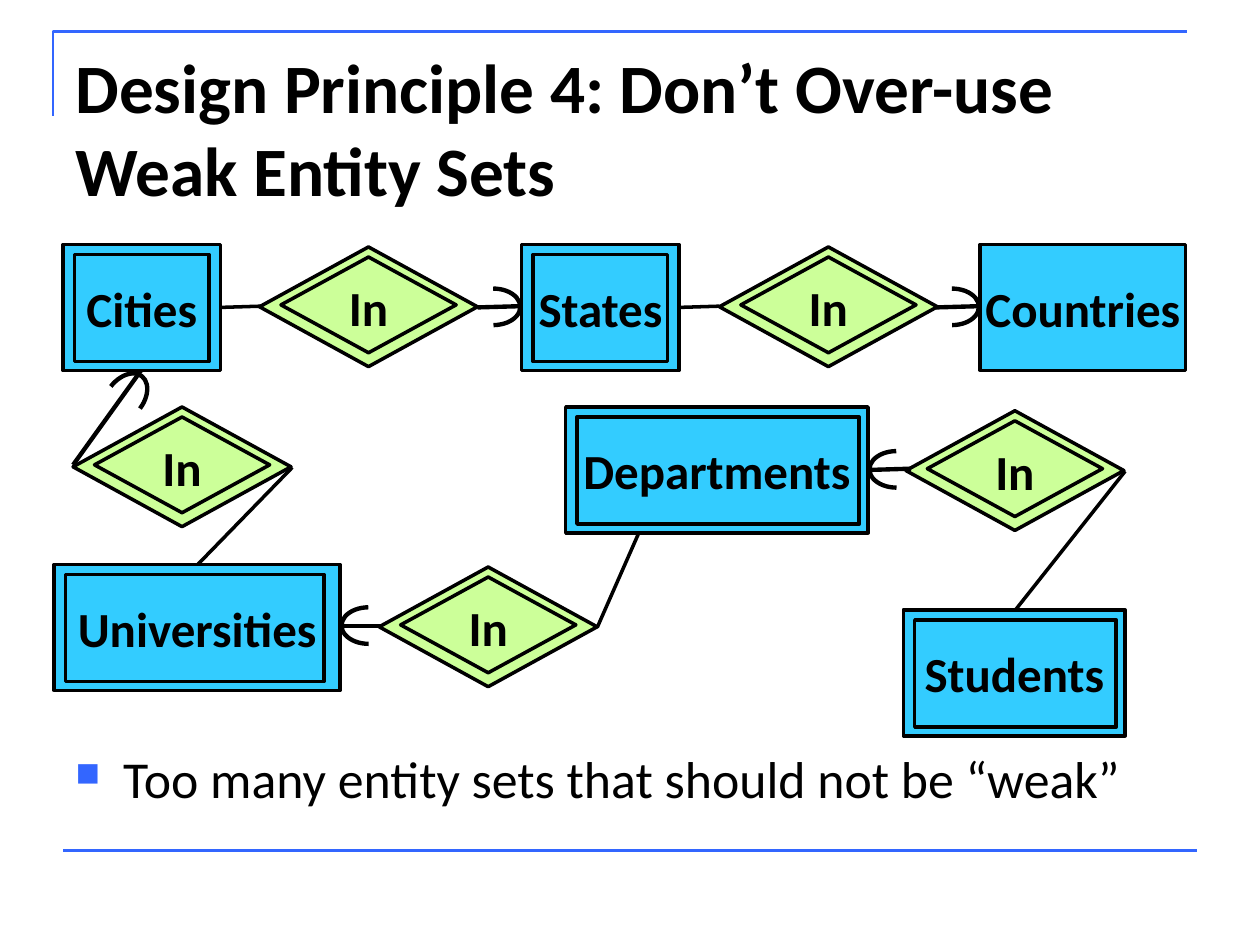
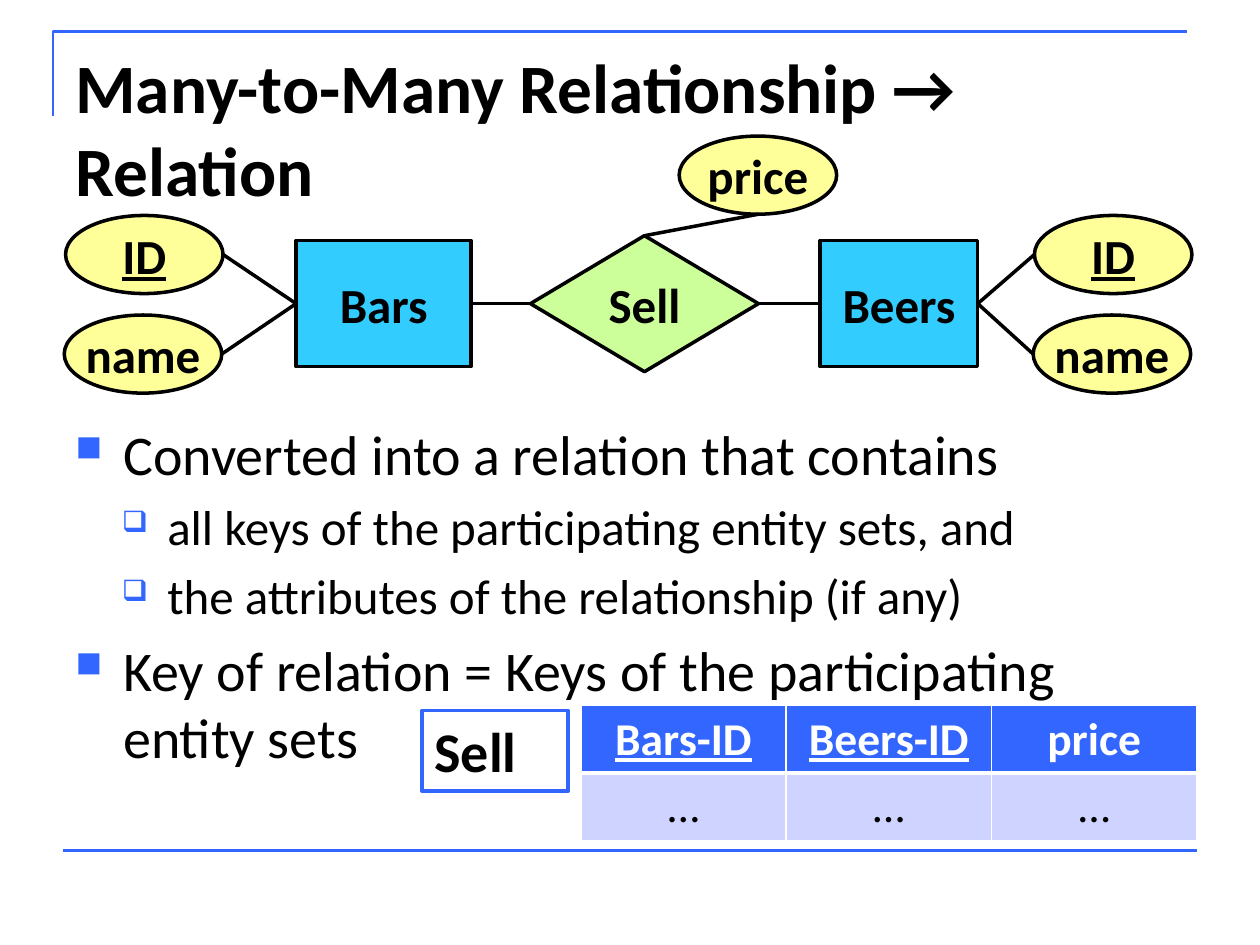
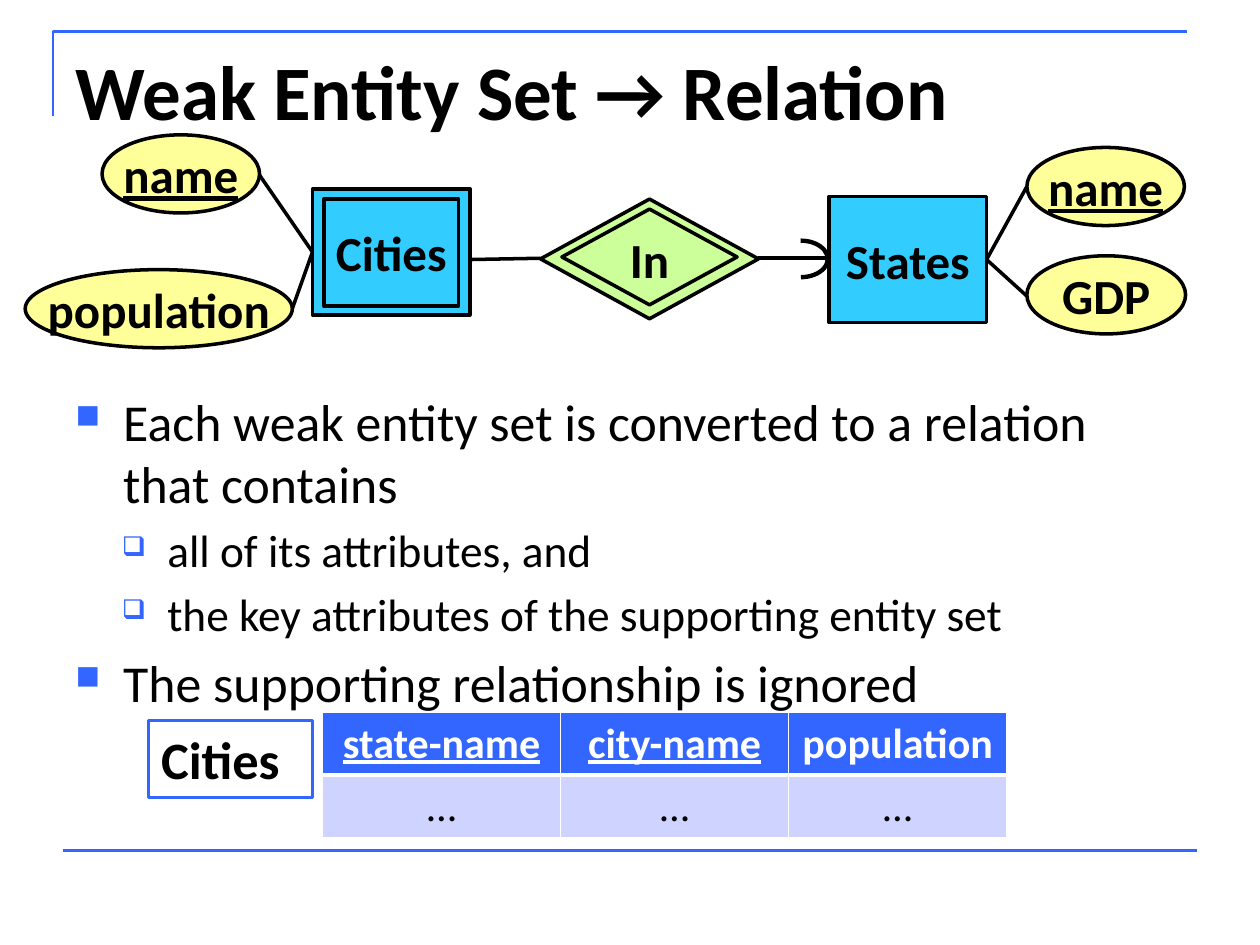
import lxml.etree
import pptx
import pptx.dml.color
import pptx.enum.shapes
import pptx.enum.text
import pptx.oxml.ns
import pptx.util

Inches = pptx.util.Inches
Pt = pptx.util.Pt
SHAPE = pptx.enum.shapes.MSO_SHAPE
ANCHOR = pptx.enum.text.MSO_ANCHOR
ALIGN = pptx.enum.text.PP_ALIGN

COLORS = {
    "accent": "3366FF",
    "ink": "000000",
    "paper": "FFFFFF",
    "entity": "33CCFF",
    "relationship": "CCFF99",
    "attribute": "FFFF99",
    "row": "CED3FF",
}


def color(name):
    return pptx.dml.color.RGBColor.from_string(COLORS[name])


def add_xml(parent, tag, **attributes):
    return lxml.etree.SubElement(parent, pptx.oxml.ns.qn(tag), attributes)


def write(para, text, size=28, bold=True, underline=False, ink="ink", align=ALIGN.LEFT):
    para.alignment = align
    span = para.add_run()
    span.text = text
    span.font.name = "Calibri"
    span.font.size = Pt(size)
    span.font.bold = bold
    span.font.underline = underline
    span.font.color.rgb = color(ink)


class Deck:
    bullets = [("■", "65000", 0.38, 0.38), ("❑", "60000", 0.73, 0.36)]

    def __init__(self):
        self.deck = pptx.Presentation()
        self.deck.slide_width = Inches(10)
        self.deck.slide_height = Inches(7.5)
        self.page = None

    def add_page(self, title, size=39.6):
        self.page = self.deck.slides.add_slide(self.deck.slide_layouts[6])
        builder = self.page.shapes.build_freeform(Inches(0.42), Inches(0.92))
        builder.add_line_segments(
            [(Inches(0.42), Inches(0.25)), (Inches(9.42), Inches(0.25))], close=False
        )
        self.style(builder.convert_to_shape(), None, "accent", 1.5)
        self.line((0.5, 6.75), (9.5, 6.75), 1.5, "accent")
        write(self.text_frame(0.5, 0.3, 9, 1.25).paragraphs[0], title, size=size)

    def text_frame(self, left, top, width, height):
        box = self.page.shapes.add_textbox(
            Inches(left), Inches(top), Inches(width), Inches(height)
        )
        box.text_frame.word_wrap = True
        return box.text_frame

    def style(self, shape, fill, line="ink", weight=2):
        shape.shadow.inherit = False
        if fill:
            shape.fill.solid()
            shape.fill.fore_color.rgb = color(fill)
        else:
            shape.fill.background()
        shape.line.color.rgb = color(line)
        shape.line.width = Pt(weight)

    def shape(self, kind, left, top, width, height, fill=None, line="ink", weight=2):
        shape = self.page.shapes.add_shape(
            kind, Inches(left), Inches(top), Inches(width), Inches(height)
        )
        self.style(shape, fill, line, weight)
        return shape

    def node(self, kind, text, left, top, width, height, fill, underline=False):
        frame = self.shape(kind, left, top, width, height, fill).text_frame
        frame.word_wrap = False
        frame.vertical_anchor = ANCHOR.MIDDLE
        write(frame.paragraphs[0], text, underline=underline, align=ALIGN.CENTER)

    def entity(self, text, left, top, width=1.25, inner_width=None):
        self.node(SHAPE.RECTANGLE, text, left, top, width, 1, "entity")
        if inner_width:
            self.shape(SHAPE.RECTANGLE, left + 0.09, top + 0.08, inner_width, 0.85)

    def relationship(self, text, left, top, width=1.73, height=0.95, double=True):
        self.node(SHAPE.DIAMOND, text, left, top, width, height, "relationship")
        if double:
            self.shape(SHAPE.DIAMOND, left + 0.17, top + 0.08, 1.39, 0.76)

    def attribute(self, text, left, top, width=1.25, key=False):
        self.node(SHAPE.OVAL, text, left, top, width, 0.62, "attribute", key)

    def line(self, start, end, weight=2, ink="ink"):
        points = [Inches(value) for value in start + end]
        line = self.page.shapes.add_connector(
            pptx.enum.shapes.MSO_CONNECTOR.STRAIGHT, *points
        )
        line.line.color.rgb = color(ink)
        line.line.width = Pt(weight)
        add_xml(line._element.spPr, "a:effectLst")

    def round_end(self, start, end, left, top, turn=0):
        self.line(start, end, 2.5)
        arc = self.shape(SHAPE.ARC, left, top, 0.43, 0.29, weight=2.5)
        arc.adjustments[0] = 162
        arc.adjustments[1] = 53.455
        arc.rotation = turn

    def body(self, top, height, sizes, items):
        frame = self.text_frame(0.5, top, 9, height)
        for index, (level, text) in enumerate(items):
            para = frame.add_paragraph() if index else frame.paragraphs[0]
            mark, scale, margin, hanging = self.bullets[level]
            write(para, text, size=sizes[level], bold=False)
            para.level = level
            para.space_before = Pt(round(sizes[level] * 0.2, 1))
            properties = para._p.get_or_add_pPr()
            properties.set("marL", str(Inches(margin)))
            properties.set("indent", str(-Inches(hanging)))
            add_xml(add_xml(properties, "a:buClr"), "a:srgbClr", val=COLORS["accent"])
            add_xml(properties, "a:buSzPct", val=scale)
            add_xml(properties, "a:buChar", char=mark)

    def label(self, text, left, top, width, height, size):
        box = self.shape(SHAPE.RECTANGLE, left, top, width, height, "paper", "accent")
        box.text_frame.word_wrap = True
        box.text_frame.vertical_anchor = ANCHOR.TOP
        write(box.text_frame.paragraphs[0], text, size=size)

    def borders(self, cell, bottom):
        properties = cell._tc.get_or_add_tcPr()
        for side in "LRTB":
            weight = bottom if side == "B" else 1
            edge = add_xml(properties, "a:ln" + side, w=str(Pt(weight)))
            add_xml(add_xml(edge, "a:solidFill"), "a:srgbClr", val=COLORS["paper"])

    def relation(self, left, top, widths, height, size, names, keys):
        table = self.page.shapes.add_table(
            2, len(names), Inches(left), Inches(top), Inches(sum(widths)), Inches(height)
        ).table
        for column, (name, width) in enumerate(zip(names, widths)):
            table.columns[column].width = Inches(width)
            for row, text in enumerate([name, "…"]):
                header = row == 0
                cell = table.cell(row, column)
                self.borders(cell, 3 if header else 1)
                cell.fill.solid()
                cell.fill.fore_color.rgb = color("accent" if header else "row")
                write(
                    cell.text_frame.paragraphs[0], text, size=size, bold=header,
                    underline=header and column < keys,
                    ink="paper" if header else "ink", align=ALIGN.CENTER,
                )

    def save(self):
        self.deck.save("out.pptx")


def weak_entity_sets(deck):
    deck.add_page("Design Principle 4: Don’t Over-use Weak Entity Sets")
    deck.body(5.88, 0.83, [29.6], [(0, "Too many entity sets that should not be “weak”")])
    for text, left, top, width, inner_width in [
        ("Cities", 0.5, 1.94, 1.25, 1.07),
        ("States", 4.14, 1.94, 1.25, 1.07),
        ("Countries", 7.78, 1.94, 1.63, None),
        ("Universities", 0.43, 4.48, 2.27, 2.05),
        ("Departments", 4.49, 3.23, 2.4, 2.24),
        ("Students", 7.17, 4.84, 1.76, 1.6),
    ]:
        deck.entity(text, left, top, width, inner_width)
    for left, top in [(2.06, 1.96), (5.71, 1.96), (0.58, 3.23), (3.01, 4.5), (7.19, 3.26)]:
        deck.relationship("In", left, top)
    for left in (1.75, 5.39):
        deck.line((left, 2.44), (left + 0.32, 2.43))
        deck.round_end((left + 2.38, 2.43), (left + 2.04, 2.44), left + 1.95, 2.29)
    deck.line((2.32, 3.71), (1.57, 4.48))
    deck.line((4.74, 4.98), (5.07, 4.23))
    deck.line((8.93, 3.74), (8.06, 4.84))
    deck.round_end((1.12, 2.94), (0.58, 3.69), 0.78, 3.01, 307.6)
    deck.round_end((3.04, 4.97), (2.7, 4.97), 2.71, 4.82, 180)
    deck.round_end((7.23, 3.72), (6.89, 3.73), 6.9, 3.58, 180)


def many_to_many(deck):
    deck.add_page("Many-to-Many Relationship → Relation")
    deck.body(3.28, 2.76, [32, 28], [
        (0, "Converted into a relation that contains"),
        (1, "all keys of the participating entity sets, and"),
        (1, "the attributes of the relationship (if any)"),
        (0, "Key of relation = Keys of the participating entity sets"),
    ])
    names = ["Bars-ID", "Beers-ID", "price"]
    deck.relation(4.61, 5.6, [1.63] * 3, 1.07, 26, names, 2)
    deck.label("Sell", 3.35, 5.64, 1.16, 0.64, 32)
    deck.entity("Bars", 2.35, 1.91, 1.39)
    deck.entity("Beers", 6.51, 1.91)
    deck.relationship("Sell", 4.21, 1.87, 1.81, 1.08, double=False)
    deck.line((3.74, 2.41), (4.21, 2.41))
    deck.line((6.02, 2.41), (6.51, 2.41))
    for left, edge, entity_edge in [(0.52, 1.77, 2.35), (8.21, 8.21, 7.76)]:
        deck.attribute("ID", left, 1.71, key=True)
        deck.attribute("name", left - 0.01, 2.5)
        deck.line((edge, 2.02), (entity_edge, 2.41))
        deck.line((edge - 0.01, 2.81), (entity_edge, 2.41))
    deck.attribute("price", 5.39, 1.08)
    deck.line((5.12, 1.87), (6.02, 1.7))


def weak_entity_relation(deck):
    deck.add_page("Weak Entity Set → Relation", 44)
    deck.body(3.04, 2.36, [29.6, 25.9], [
        (0, "Each weak entity set is converted to a relation that contains"),
        (1, "all of its attributes, and"),
        (1, "the key attributes of the supporting entity set"),
        (0, "The supporting relationship is ignored"),
    ])
    deck.entity("Cities", 2.48, 1.5, inner_width=1.07)
    deck.entity("States", 6.58, 1.56)
    deck.attribute("name", 0.81, 1.07, key=True)
    deck.attribute("population", 0.2, 2.14, 2.12)
    deck.attribute("name", 8.15, 1.17, key=True)
    deck.attribute("GDP", 8.15, 2.03, 1.26)
    deck.line((2.06, 1.39), (2.48, 2))
    deck.line((2.32, 2.45), (2.48, 2))
    deck.line((8.15, 1.48), (7.83, 2.06))
    deck.line((8.15, 2.35), (7.83, 2.06))
    deck.relationship("In", 4.29, 1.58)
    deck.line((3.73, 2.06), (4.29, 2.05))
    deck.round_end((6.58, 2.05), (6.02, 2.05), 6.14, 1.91)
    names = ["state-name", "city-name", "population"]
    deck.relation(2.56, 5.65, [1.89, 1.81, 1.73], 1, 24, names, 2)
    deck.label("Cities", 1.18, 5.72, 1.3, 0.61, 30)


deck = Deck()
weak_entity_sets(deck)
many_to_many(deck)
weak_entity_relation(deck)
deck.save()
